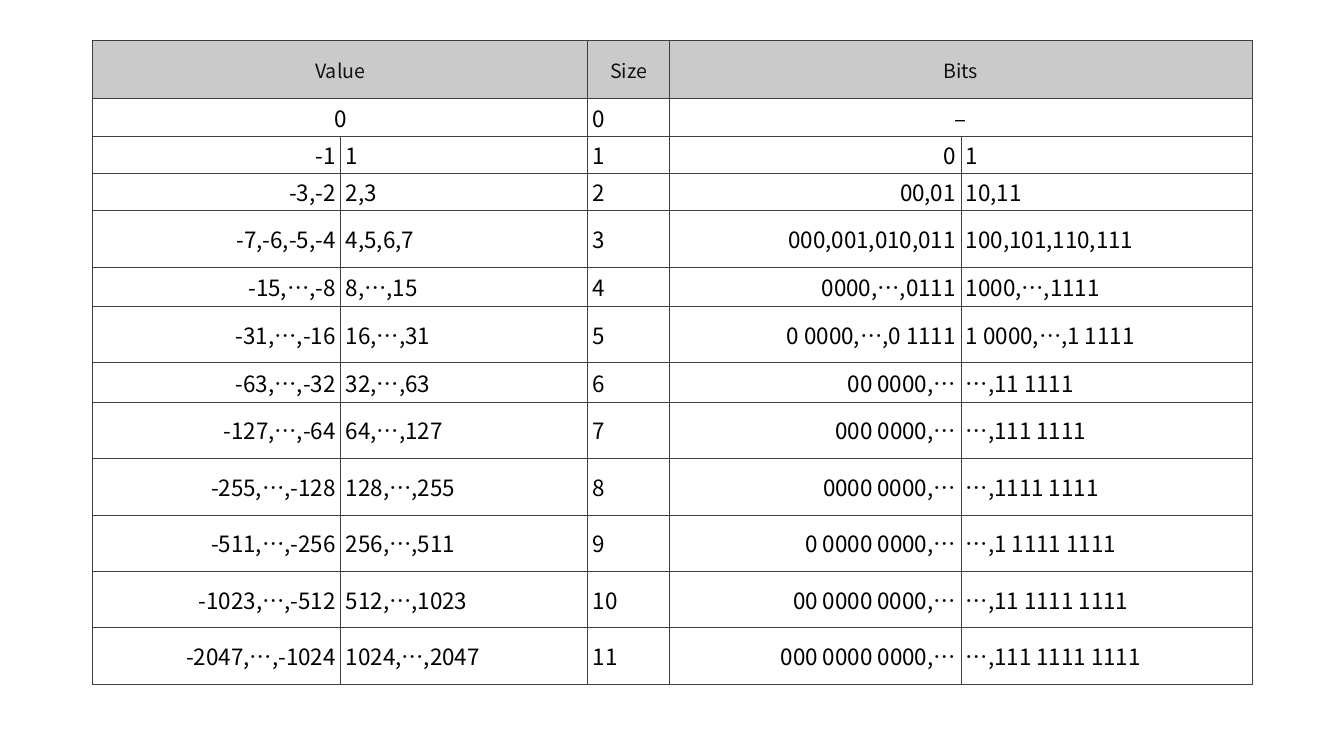
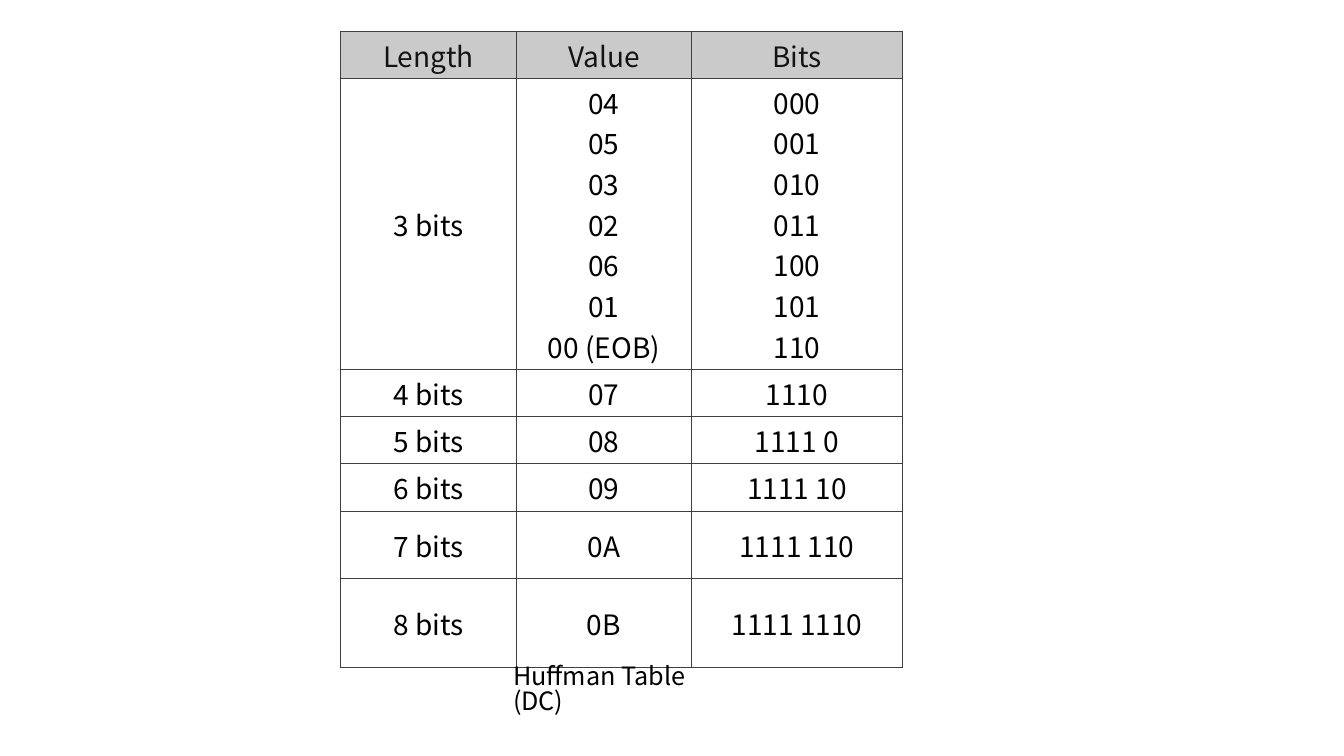
from lxml import etree
from pptx import Presentation
from pptx.dml.color import RGBColor
from pptx.enum.text import MSO_ANCHOR, PP_ALIGN
from pptx.oxml.ns import qn
from pptx.util import Inches, Pt

LEFT, MID, RIGHT = PP_ALIGN.LEFT, PP_ALIGN.CENTER, PP_ALIGN.RIGHT
MIDDLE = MSO_ANCHOR.MIDDLE
FONT = "Noto Sans CJK SC"
HUES = {"head": "CACACA", "body": "FFFFFF", "title": "131313",
        "text": "000000", "line": "3F3F3F"}


def write(frame, text, size=16, hue="text", align=LEFT, space=None):
    para = frame.paragraphs[0]
    para.text = text
    para.alignment = align
    para.line_spacing = space
    for run in para.runs:
        run.font.size = Pt(size)
        run.font.color.rgb = RGBColor.from_string(HUES[hue])
        run.font.name = FONT
        etree.SubElement(run.font._element, qn("a:ea"), typeface=FONT)


def draw_table(slide, place, wides, highs, rows, aligns, sizes, pads):
    """Draw a ruled table; None in a row joins that cell to the one on its left.

    sizes holds the header and body text sizes, pads the side and top margins.
    """
    frame = slide.shapes.add_table(len(rows), len(wides), *map(Inches, place),
                                   Inches(sum(wides)), Inches(sum(highs)))
    table = frame.table
    table.first_row = table.horz_banding = False
    for col, wide in zip(table.columns, wides):
        col.width = Inches(wide)
    for row, high in zip(table.rows, highs):
        row.height = Inches(high)

    for r, row in enumerate(rows):
        part = "body" if r else "head"
        for c, text in enumerate(row):
            cell = table.cell(r, c)
            cell.vertical_anchor = MIDDLE
            cell.margin_left = cell.margin_right = Inches(pads[0])
            cell.margin_top = cell.margin_bottom = Inches(pads[1])
            cell.fill.solid()
            cell.fill.fore_color.rgb = RGBColor.from_string(HUES[part])
            props = cell._tc.get_or_add_tcPr()
            for i, side in enumerate(("lnL", "lnR", "lnT", "lnB")):
                line = etree.Element(qn("a:" + side), w=str(Pt(0.5)))
                fill = etree.SubElement(line, qn("a:solidFill"))
                etree.SubElement(fill, qn("a:srgbClr"), val=HUES["line"])
                props.insert(i, line)
            if text is None:
                table.cell(r, c - 1).merge(cell)
                continue
            joined = c + 1 < len(row) and row[c + 1] is None
            align = MID if r == 0 or joined else aligns[c]
            write(cell.text_frame, text, size=sizes[min(r, 1)],
                  hue="text" if r else "title", align=align)


deck = Presentation()
deck.slide_width, deck.slide_height = Inches(13.33), Inches(7.5)
blank = deck.slide_layouts[6]

# Slide 1: value sizes
codes = [
    ("-1", "1", "0", "1"),
    ("-3,-2", "2,3", "00,01", "10,11"),
    ("-7,-6,-5,-4", "4,5,6,7", "000,001,010,011", "100,101,110,111"),
    ("-15,…,-8", "8,…,15", "0000,…,0111", "1000,…,1111"),
    ("-31,…,-16", "16,…,31", "0 0000,…,0 1111", "1 0000,…,1 1111"),
    ("-63,…,-32", "32,…,63", "00 0000,…", "…,11 1111"),
    ("-127,…,-64", "64,…,127", "000 0000,…", "…,111 1111"),
    ("-255,…,-128", "128,…,255", "0000 0000,…", "…,1111 1111"),
    ("-511,…,-256", "256,…,511", "0 0000 0000,…", "…,1 1111 1111"),
    ("-1023,…,-512", "512,…,1023", "00 0000 0000,…", "…,11 1111 1111"),
    ("-2047,…,-1024", "1024,…,2047", "000 0000 0000,…", "…,111 1111 1111"),
]
rows = [("Value", None, "Size", "Bits", None), ("0", None, "0", "–", None)]
for size, (minus, plus, low, high) in enumerate(codes, 1):
    rows.append((minus, plus, str(size), low, high))

slide = deck.slides.add_slide(blank)
draw_table(slide, (0.92, 0.4), [2.46, 2.45, 0.81, 2.89, 2.89],
           [0.58] + [0.37] * 3 + [0.56, 0.39] * 2 + [0.56] * 5,
           rows, [RIGHT, LEFT, LEFT, RIGHT, LEFT],
           sizes=(14, 16), pads=(0.05, 0.02))

# Slide 2: Huffman codes
rows = [
    ("Length", "Value", "Bits"),
    ("3 bits", "04\n05\n03\n02\n06\n01\n00 (EOB)",
     "000\n001\n010\n011\n100\n101\n110"),
    ("4 bits", "07", "1110"),
    ("5 bits", "08", "1111 0"),
    ("6 bits", "09", "1111 10"),
    ("7 bits", "0A", "1111 110"),
    ("8 bits", "0B", "1111 1110"),
]
slide = deck.slides.add_slide(blank)
draw_table(slide, (3.38, 0.31), [1.74, 1.74, 2.09],
           [0.47, 2.64] + [0.47] * 3 + [0.67, 0.88],
           rows, [MID] * 3, sizes=(20, 20), pads=(0.06, 0.03))

note = slide.shapes.add_textbox(Inches(4.99), Inches(6.56),
                                Inches(2.34), Inches(0.4)).text_frame
note.word_wrap = True
write(note, "Huffman Table (DC)", size=18, space=0.82)

deck.save("out.pptx")
